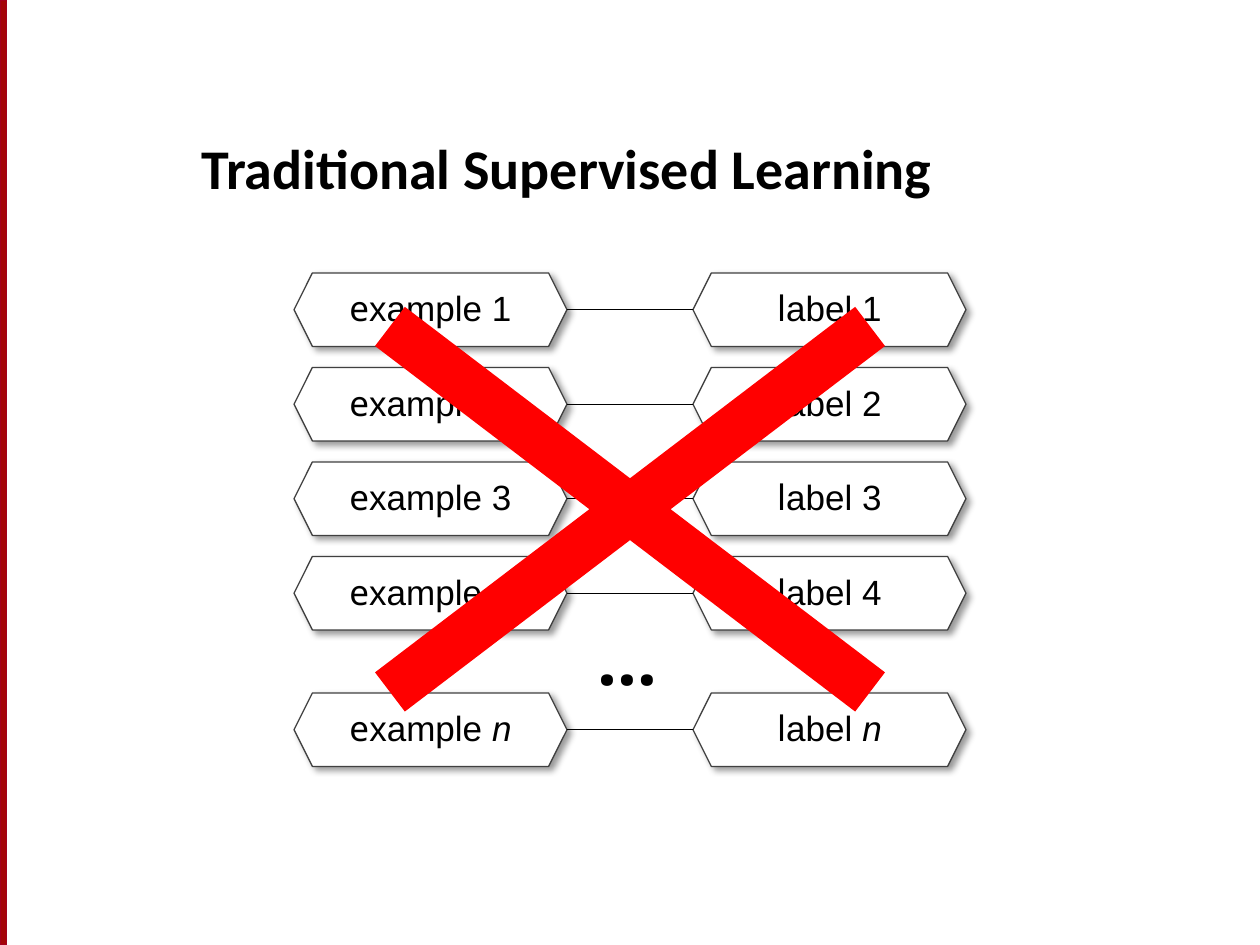
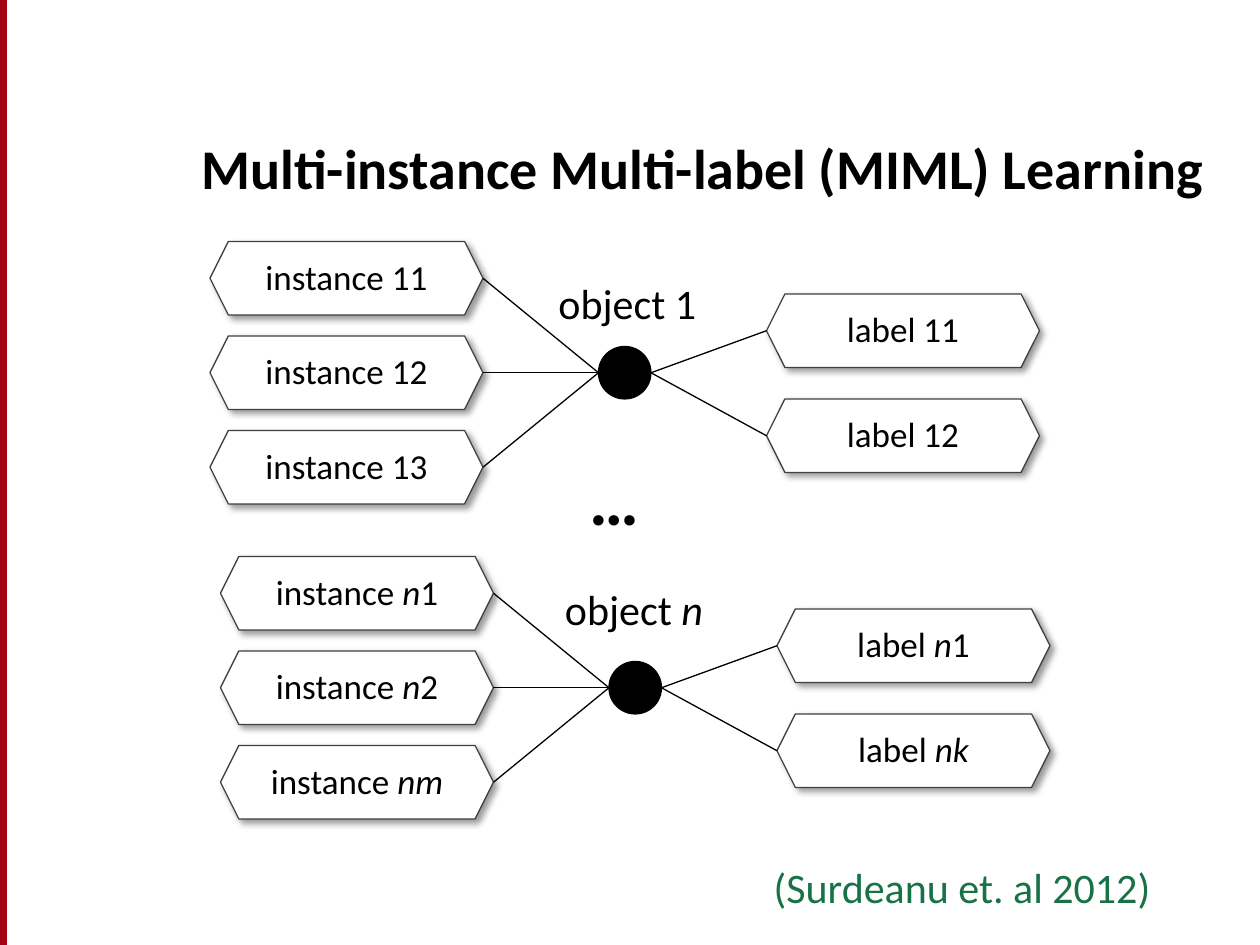
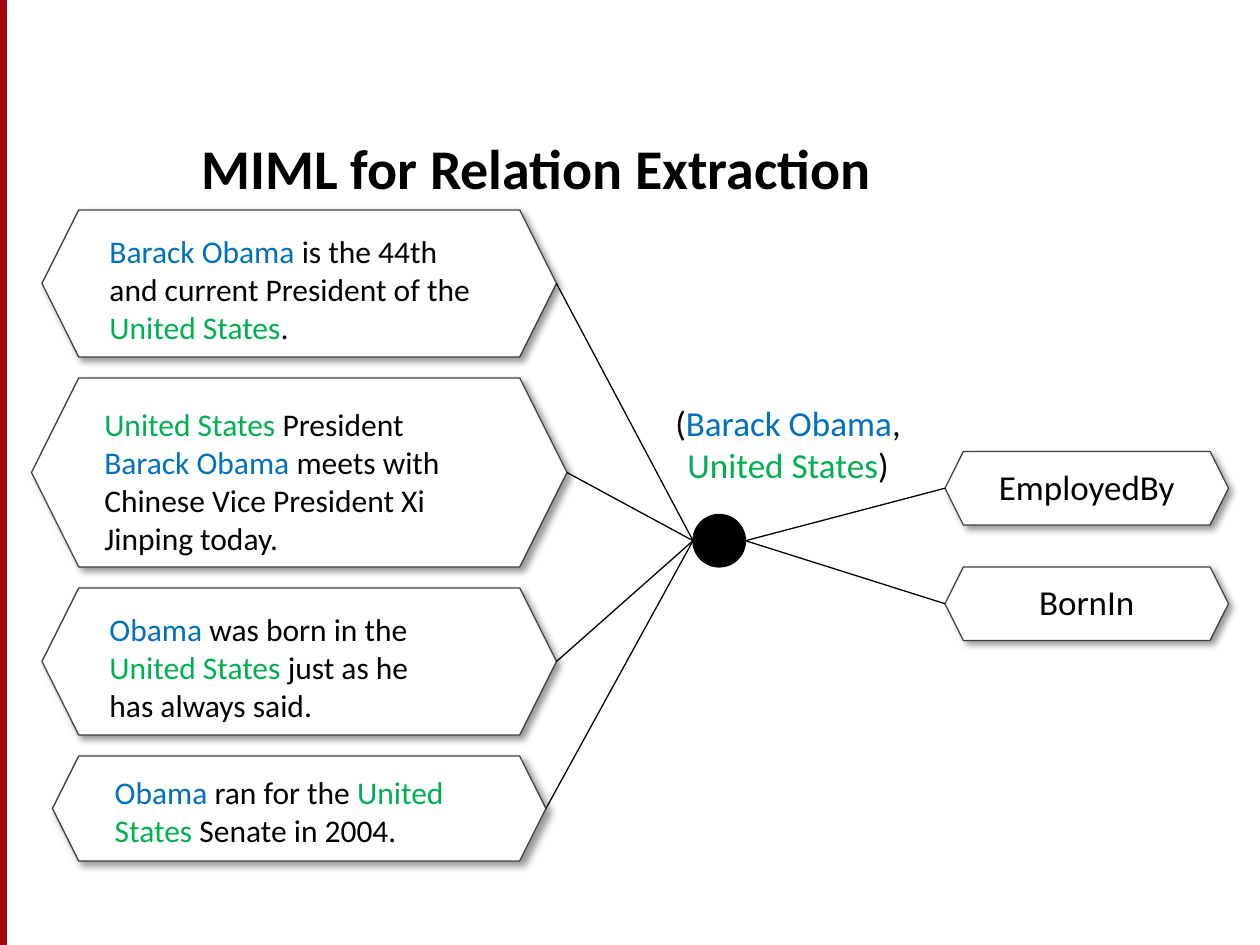
from dataclasses import dataclass

from pptx import Presentation
from pptx.dml.color import RGBColor
from pptx.enum.shapes import MSO_CONNECTOR, MSO_SHAPE
from pptx.enum.text import MSO_ANCHOR, MSO_AUTO_SIZE, PP_ALIGN
from pptx.oxml import parse_xml
from pptx.oxml.ns import nsdecls, qn
from pptx.util import Pt

PX = 9525
SLIDE_WIDTH, SLIDE_HEIGHT = 960, 720
HEXAGON, ELLIPSE = MSO_SHAPE.HEXAGON, MSO_SHAPE.OVAL
RECTANGLE, MULTIPLY = MSO_SHAPE.RECTANGLE, MSO_SHAPE.MATH_MULTIPLY
STRAIGHT = MSO_CONNECTOR.STRAIGHT
LEFT, CENTER = PP_ALIGN.LEFT, PP_ALIGN.CENTER
TOP, BOTTOM = MSO_ANCHOR.TOP, MSO_ANCHOR.BOTTOM
FIT_SHAPE = MSO_AUTO_SIZE.SHAPE_TO_FIT_TEXT

BLACK, WHITE, RED = "000000", "FFFFFF", "FF0000"
BAND_FILL, BAND_LINE = "A40508", "A4001D"
OUTLINE, CITATION = "404040", "177245"
PERSON, COUNTRY = "0070C0", "00B050"
BODY_FONT, FIRST_LETTER_FONT, EXAMPLE_FONT = "Calibri", "Noto Sans", "Arial"
NODE_WIDTH, NODE_HEIGHT, HUB_SIZE, ROW_STEP = 208, 56, 40, 72

SHADOW = (
    f'<a:outerShdw {nsdecls("a")} blurRad="50800" dist="38100" dir="2700000" '
    'algn="tl" rotWithShape="0"><a:srgbClr val="000000">'
    '<a:alpha val="40000"/></a:srgbClr></a:outerShdw>'
)


@dataclass
class Span:
    text: str
    color: str = BLACK
    italic: bool = False
    font: str = ""


def rgb(value):
    return RGBColor.from_string(value)


def person(text):
    return Span(text, PERSON)


def country(text):
    return Span(text, COUNTRY)


def indexed(word, variable, number=""):
    spans = [Span(word + " "), Span(variable, italic=True)]
    return spans + [Span(number)] if number else spans


def write(frame, lines, size, align=LEFT, font=BODY_FONT, bold=False):
    for position, spans in enumerate(lines):
        para = frame.add_paragraph() if position else frame.paragraphs[0]
        para.alignment = align
        para.font.size = Pt(size)
        para.font.name = font
        para.font.bold = bold
        for span in spans:
            run = para.add_run()
            run.text = span.text
            run.font.color.rgb = rgb(span.color)
            if span.italic:
                run.font.italic = True
            if span.font:
                run.font.name = span.font


def add_text(page, box, lines, size, wrap=False, anchor=TOP, **style):
    text_box = page.shapes.add_textbox(*(value * PX for value in box))
    frame = text_box.text_frame
    frame.word_wrap = wrap
    frame.vertical_anchor = anchor
    if anchor == TOP:
        frame.auto_size = FIT_SHAPE
    write(frame, lines, size, **style)


def add_figure(page, kind, box, fill, line=None):
    figure = page.shapes.add_shape(kind, *(value * PX for value in box))
    figure.shadow.inherit = False
    figure.fill.solid()
    figure.fill.fore_color.rgb = rgb(fill)
    if line:
        figure.line.color.rgb = rgb(line)
        figure.line.width = Pt(0.75)
    else:
        figure.line.fill.background()
    return figure


def add_hexagon(page, box, lines, size=20, align=CENTER):
    hexagon = add_figure(page, HEXAGON, box, WHITE, OUTLINE)
    effects = hexagon._element.spPr.find(qn("a:effectLst"))
    effects.append(parse_xml(SHADOW))
    frame = hexagon.text_frame
    frame.word_wrap = True
    frame.vertical_anchor = TOP
    write(frame, lines, size, align)
    return hexagon


def add_hub(page, left, top):
    return add_figure(page, ELLIPSE, (left, top, HUB_SIZE, HUB_SIZE), BLACK, BLACK)


def link(page, start, end):
    line = page.shapes.add_connector(
        STRAIGHT,
        start.left + start.width, start.top + start.height // 2,
        end.left, end.top + end.height // 2,
    )
    line.line.color.rgb = rgb(BLACK)
    line.line.width = Pt(0.75)
    line._element.spPr.append(parse_xml(f'<a:effectLst {nsdecls("a")}/>'))


def link_through(page, sources, hub, targets):
    for source in sources:
        link(page, source, hub)
    for target in targets:
        link(page, hub, target)


def add_page(deck, title):
    page = deck.slides.add_slide(deck.slide_layouts[6])
    add_figure(page, RECTANGLE, (0, 0, 5, SLIDE_HEIGHT), BAND_FILL, BAND_LINE)
    add_text(page, (144, 54, 784, 104), [[Span(title)]], 32,
             wrap=True, anchor=BOTTOM, bold=True)
    return page


def example_spans(word, index):
    return [
        Span(word[0], font=FIRST_LETTER_FONT),
        Span(word[1:] + " ", font=EXAMPLE_FONT),
        Span(index, italic=index == "n", font=EXAMPLE_FONT),
    ]


def build_traditional(deck):
    page = add_page(deck, "Traditional Supervised Learning")
    tops = [208 + ROW_STEP * row for row in range(4)] + [528]
    for index, top in zip("1234n", tops):
        example, label = (
            add_hexagon(page, (left, top, NODE_WIDTH, NODE_HEIGHT),
                        [example_spans(word, index)])
            for word, left in (("example", 224), ("label", 528))
        )
        link(page, example, label)
    add_text(page, (446, 464, 73, 74), [[Span("…")]], 40,
             font=FIRST_LETTER_FONT, bold=True)
    cross = add_figure(page, MULTIPLY, (128, 120, 704, 536), RED)
    cross.adjustments[0] = 0.07


def add_object_group(page, left, top, instances, labels):
    sources = [
        add_hexagon(page, (left, top + ROW_STEP * row, NODE_WIDTH, NODE_HEIGHT), [spans])
        for row, spans in enumerate(instances)
    ]
    targets = [
        add_hexagon(page, (left + 424, top + 40 + 80 * row, NODE_WIDTH, NODE_HEIGHT), [spans])
        for row, spans in enumerate(labels)
    ]
    hub = add_hub(page, left + 296, top + 80)
    link_through(page, sources, hub, targets)


def build_miml(deck):
    page = add_page(deck, "Multi-instance Multi-label (MIML) Learning")
    add_object_group(
        page, 160, 184,
        [[Span(f"instance 1{number}")] for number in (1, 2, 3)],
        [[Span(f"label 1{number}")] for number in (1, 2)],
    )
    add_object_group(
        page, 168, 424,
        [indexed("instance", "n", "1"), indexed("instance", "n", "2"),
         indexed("instance", "nm")],
        [indexed("label", "n", "1"), indexed("label", "nk")],
    )
    add_text(page, (416, 207, 132, 48), [[Span("object 1")]], 24)
    add_text(page, (421, 440, 132, 48), [indexed("object", "n")], 24)
    add_text(page, (440, 342, 58, 74), [[Span("…")]], 40, bold=True)
    add_text(page, (580, 652, 339, 48),
             [[Span("(Surdeanu et. al 2012)", CITATION)]], 24, wrap=True)


def build_relation_extraction(deck):
    page = add_page(deck, "MIML for Relation Extraction")
    sentences = [
        ((32, 160, 392, 112),
         [[person("Barack Obama "), Span("is the 44th and current President of the "),
           country("United States"), Span(".")]]),
        ((24, 288, 408, 144),
         [[country("United States "), Span("President "), person("Barack Obama "),
           Span("meets with Chinese Vice President Xi Jinping today.")]]),
        ((32, 448, 392, 112),
         [[person("Obama"), Span(" was born in the "), country("United States "),
           Span("just as he")],
          [Span("has always said.")]]),
        ((40, 576, 376, 80),
         [[person("Obama"), Span(" ran for the "), country("United States"),
           Span(" Senate in 2004.")]]),
    ]
    sources = [add_hexagon(page, box, lines, 18, LEFT) for box, lines in sentences]
    relations = [
        add_hexagon(page, (720, top, 216, NODE_HEIGHT), [[Span(name)]])
        for name, top in (("EmployedBy", 344), ("BornIn", 432))
    ]
    link_through(page, sources, add_hub(page, 528, 392), relations)
    add_text(page, (504, 301, 193, 74),
             [[Span("("), person("Barack Obama"), Span(",")],
              [country("United States"), Span(")")]], 20, align=CENTER)


def main():
    deck = Presentation()
    deck.slide_width = SLIDE_WIDTH * PX
    deck.slide_height = SLIDE_HEIGHT * PX
    build_traditional(deck)
    build_miml(deck)
    build_relation_extraction(deck)
    deck.save("out.pptx")


if __name__ == "__main__":
    main()
